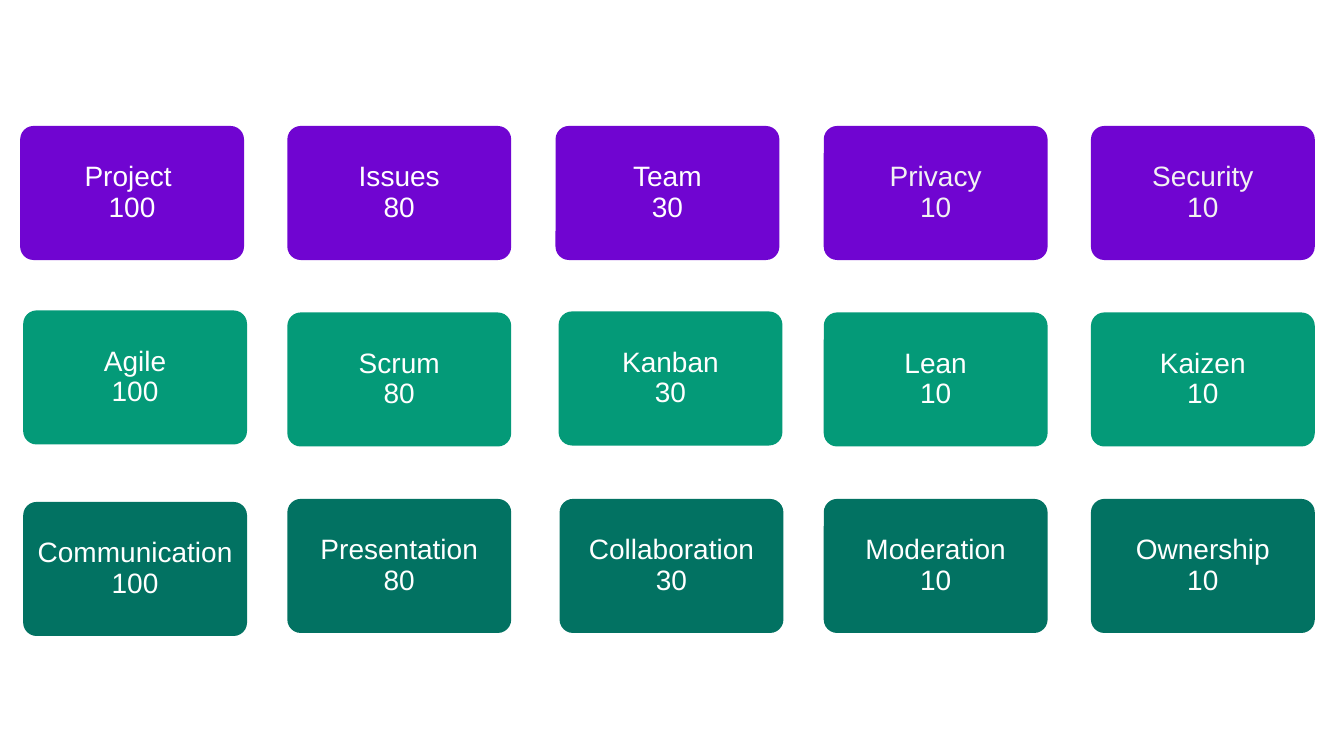
from pptx import Presentation
from pptx.dml.color import RGBColor
from pptx.enum.shapes import MSO_SHAPE as SHAPE
from pptx.enum.text import MSO_ANCHOR as ANCHOR, PP_ALIGN as ALIGN
from pptx.util import Inches, Pt

SCORES = [100, 80, 30, 10, 10]
WHITE, PALE = "FFFFFF", "F2F2F2"
ROWS = [
    {"fill": "7005D1",
     "topics": ["Project ", "Issues", "Team", "Privacy", "Security"],
     "colors": [WHITE, WHITE, WHITE, PALE, PALE],
     "lefts": [0.2, 2.85, 5.51, 8.17, 10.82],
     "tops": [1.25] * 5},
    {"fill": "049A78",
     "topics": ["Agile", "Scrum", "Kanban", "Lean", "Kaizen"],
     "colors": [WHITE] * 5,
     "lefts": [0.23, 2.85, 5.54, 8.17, 10.82],
     "tops": [3.08, 3.1, 3.09, 3.1, 3.1]},
    {"fill": "027262",
     "topics": ["Communication", "Presentation", "Collaboration", "Moderation", "Ownership"],
     "colors": [WHITE] * 5,
     "lefts": [0.23, 2.85, 5.55, 8.17, 10.82],
     "tops": [4.98, 4.95, 4.95, 4.95, 4.95]},
]
CARD_W, CARD_H, INSET = 2.22, 1.33, 0.1


def rgb(value):
    return RGBColor.from_string(value)


def add_text(p, text, size=20, color=WHITE, font="Arial"):
    p.alignment = ALIGN.CENTER
    p.line_spacing = 0.9
    r = p.add_run()
    r.text = text
    r.font.size = Pt(size)
    r.font.name = font
    r.font.color.rgb = rgb(color)


def add_card(s, left, top, fill, topic, score, color):
    sp = s.shapes.add_shape(SHAPE.ROUNDED_RECTANGLE, Inches(left), Inches(top),
                            Inches(CARD_W), Inches(CARD_H))
    sp.adjustments[0] = 0.1
    sp.shadow.inherit = False
    sp.fill.solid()
    sp.fill.fore_color.rgb = rgb(fill)
    sp.line.fill.background()
    tf = sp.text_frame
    tf.word_wrap = True
    tf.vertical_anchor = ANCHOR.MIDDLE
    tf.margin_left = tf.margin_right = tf.margin_top = tf.margin_bottom = Inches(INSET)
    add_text(tf.paragraphs[0], topic, color=color)
    add_text(tf.add_paragraph(), str(score), color=color)


def main():
    prs = Presentation()
    prs.slide_width, prs.slide_height = Inches(13.33), Inches(7.5)
    s = prs.slides.add_slide(prs.slide_layouts[6])
    for row in ROWS:
        cards = zip(row["lefts"], row["tops"], row["topics"], SCORES, row["colors"])
        for left, top, topic, score, color in cards:
            add_card(s, left, top, row["fill"], topic, score, color)
    prs.save("out.pptx")


if __name__ == "__main__":
    main()
